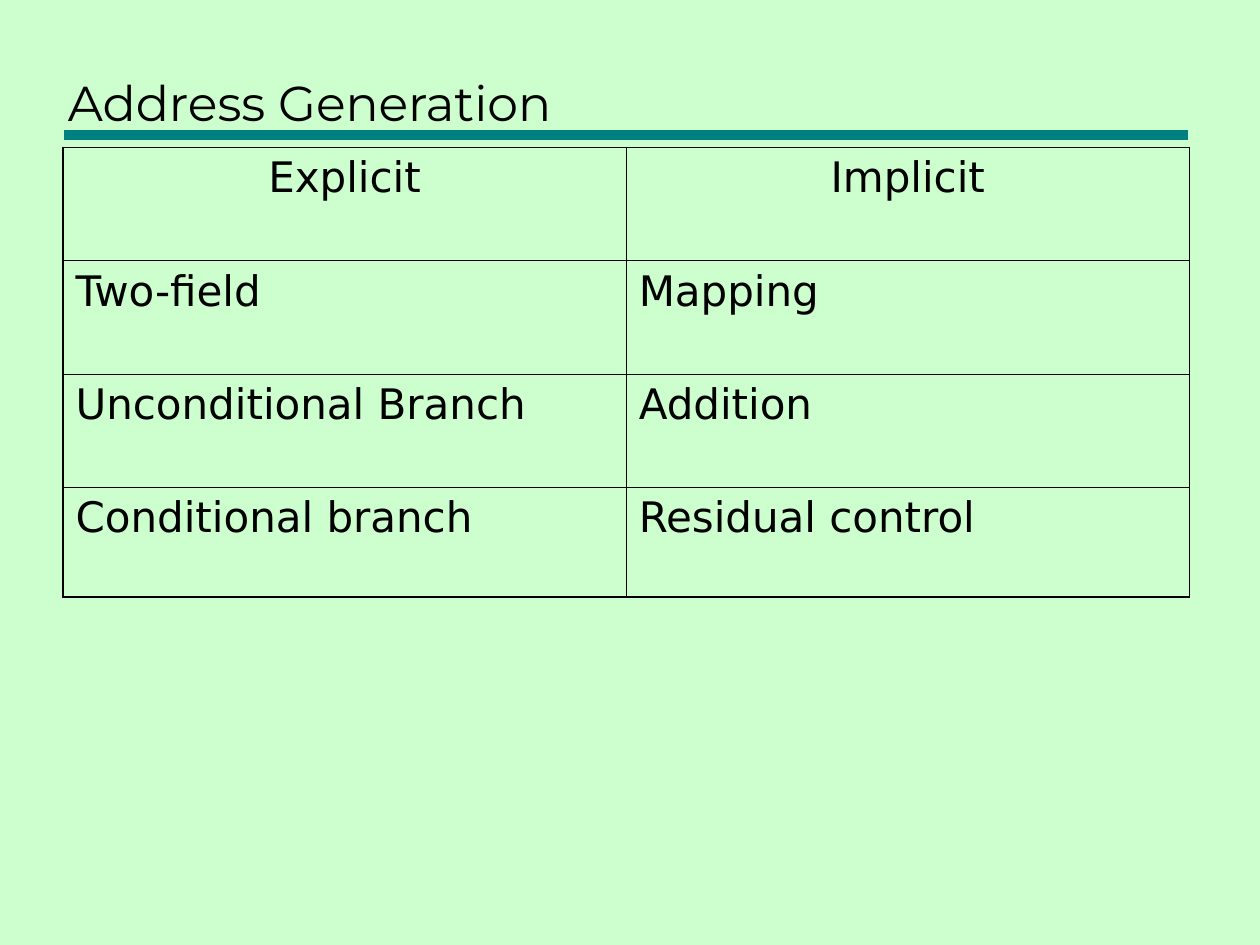
import pptx
import pptx.util
import pptx.dml.color
import pptx.enum.shapes
import pptx.enum.text
import pptx.oxml
import pptx.oxml.ns
from dataclasses import dataclass

Inches = pptx.util.Inches
Pt = pptx.util.Pt
Color = pptx.dml.color.RGBColor.from_string
Align = pptx.enum.text.PP_ALIGN


@dataclass(frozen=True)
class Theme:
    back: str = "CDFFCE"
    ink: str = "000000"
    bar: str = "008080"
    head: str = "Montserrat"
    body: str = "DejaVu Sans"
    head_size: float = 28
    body_size: float = 24
    rule: float = 6
    outer: float = 1.08
    inner: float = 0.45


THEME = Theme()
ROWS = [
    ("Explicit", "Implicit"),
    ("Two-field", "Mapping"),
    ("Unconditional Branch", "Addition"),
    ("Conditional branch", "Residual control"),
]


def put(item, values):
    for name, value in values.items():
        setattr(item, name, value)


def write(frame, text, face, size, align=Align.LEFT):
    para = frame.paragraphs[0]
    para.alignment = align
    run = para.add_run()
    run.text = text
    put(run.font, {"name": face, "size": Pt(size), "bold": False})
    run.font.color.rgb = Color(THEME.ink)


def add_title(slide, box, text):
    frame = slide.shapes.add_textbox(*map(Inches, box)).text_frame
    put(frame, {"word_wrap": True,
                "vertical_anchor": pptx.enum.text.MSO_ANCHOR.BOTTOM})
    write(frame, text, THEME.head, THEME.head_size)


def add_rule(slide, left, top, width):
    ends = map(Inches, (left, top, left + width, top))
    line = slide.shapes.add_connector(
        pptx.enum.shapes.MSO_CONNECTOR.STRAIGHT, *ends)
    line.line.color.rgb = Color(THEME.bar)
    line.line.width = Pt(THEME.rule)
    line._element.spPr.append(pptx.oxml.parse_xml(
        f"<a:effectLst {pptx.oxml.ns.nsdecls('a')}/>"))


def add_edge(cell, side, width):
    cell._tc.get_or_add_tcPr().append(pptx.oxml.parse_xml(
        f'<a:ln{side} {pptx.oxml.ns.nsdecls("a")} w="{Pt(width)}">'
        f'<a:solidFill><a:srgbClr val="{THEME.ink}"/></a:solidFill>'
        f'</a:ln{side}>'))


def add_grid(slide, box, rows, high):
    count, span = len(rows), len(rows[0])
    table = slide.shapes.add_table(count, span, *map(Inches, box)).table
    put(table, {"first_row": False, "horz_banding": False})
    for col in table.columns:
        col.width = Inches(box[2] / span)
    for r, texts in enumerate(rows):
        # The last row takes what is left of the box
        last = r == count - 1
        table.rows[r].height = Inches(box[3] - high * r if last else high)
        for c, text in enumerate(texts):
            cell = table.cell(r, c)
            # Heavy outer frame, thin inner lines
            edges = {"L": c == 0, "R": c == span - 1, "T": r == 0, "B": last}
            for side, outer in edges.items():
                add_edge(cell, side, THEME.outer if outer else THEME.inner)
            cell.fill.background()
            align = Align.CENTER if r == 0 else Align.LEFT
            write(cell.text_frame, text, THEME.body, THEME.body_size, align)


def main():
    deck = pptx.Presentation()
    put(deck, {"slide_width": Inches(10), "slide_height": Inches(7.5)})
    slide = deck.slides.add_slide(deck.slide_layouts[6])
    fill = slide.background.fill
    fill.solid()
    fill.fore_color.rgb = Color(THEME.back)

    # Heading
    add_rule(slide, 0.51, 1.07, 8.92)
    add_title(slide, (0.44, 0.17, 8.97, 0.92), "Address Generation")
    # Table of methods
    add_grid(slide, (0.5, 1.17, 8.94, 3.57), ROWS, 0.9)
    deck.save("out.pptx")


if __name__ == "__main__":
    main()
